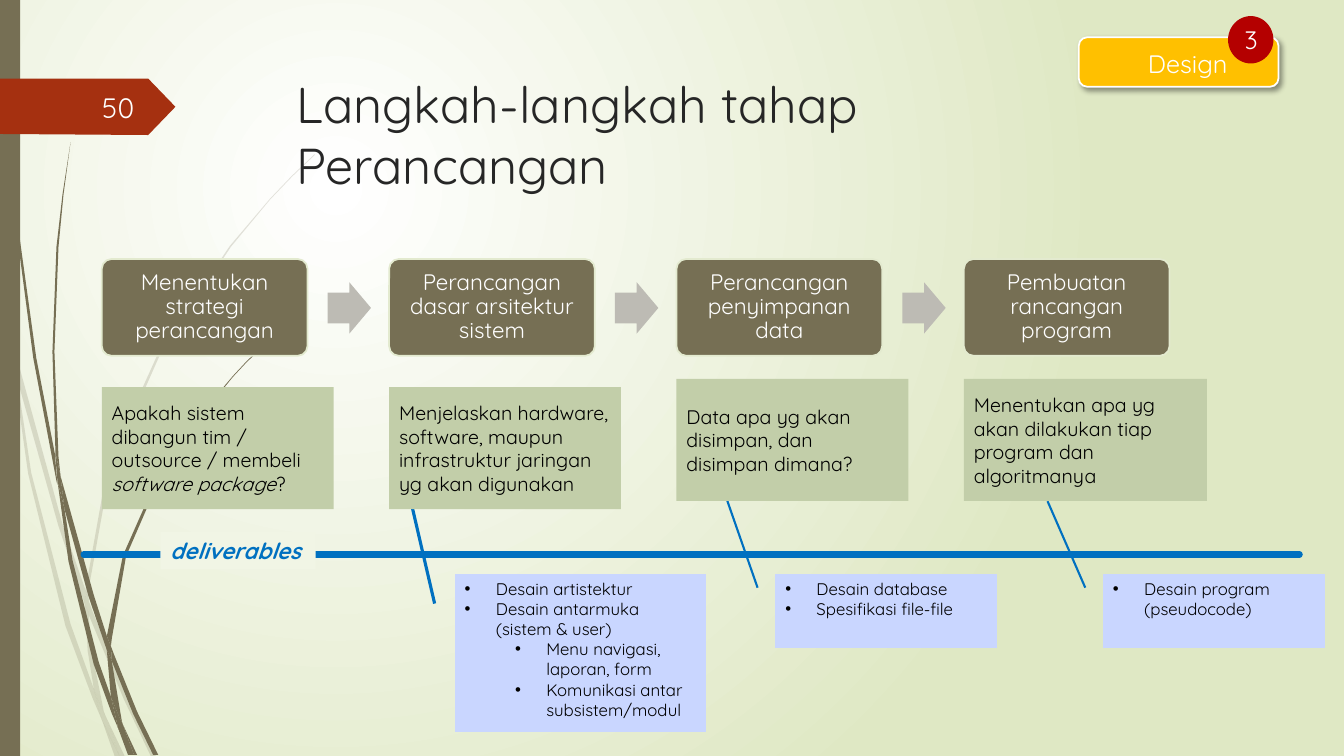
"""Build the slide on the steps of the design stage."""
import dataclasses
import typing

import lxml.etree
import pptx
import pptx.dml.color
import pptx.enum.shapes
import pptx.enum.text
import pptx.shapes.autoshape
import pptx.slide
import pptx.util

Inches = pptx.util.Inches
Kind = pptx.enum.shapes.MSO_SHAPE
Align = pptx.enum.text.PP_ALIGN
Anchor = pptx.enum.text.MSO_ANCHOR
Shape = pptx.shapes.autoshape.Shape
Slide = pptx.slide.Slide
DRAWING = "{http://schemas.openxmlformats.org/drawingml/2006/main}"


@dataclasses.dataclass(frozen=True)
class Theme:
    font: str = "Quicksand"
    brown: str = "766F54"
    red: str = "A53010"
    badge: str = "B40000"
    gold: str = "FFC000"
    blue: str = "0070C0"
    green: str = "C2CEA9"
    lilac: str = "C9D6FF"
    arrow: str = "BDBBB4"
    edge: str = "E3EACF"
    label: str = "F1F5E5"
    glow: str = "DFE8C4"
    ink: str = "262626"
    white: str = "FFFFFF"
    black: str = "000000"
    title_size: int = 36
    number_size: int = 20
    badge_size: int = 18
    step_size: int = 16
    card_size: int = 14
    bullet_size: int = 12


THEME = Theme()


class Box(typing.NamedTuple):
    left: float
    top: float
    width: float
    height: float


class Run(typing.NamedTuple):
    text: str
    italic: bool = False
    bold: bool = False


class Step(typing.NamedTuple):
    name: str
    runs: list[Run]
    card_top: float
    card_width: float = 2.3


class Deliverable(typing.NamedTuple):
    box: Box
    pointer: tuple[float, float]
    line_width: float
    items: list[tuple[int, str]]


STEPS = [
    Step("Menentukan strategi perancangan",
         [Run("Apakah sistem dibangun tim / outsource / membeli "),
          Run("software package", italic=True), Run("?")], 3.84),
    Step("Perancangan dasar arsitektur sistem",
         [Run("Menjelaskan hardware, software, maupun infrastruktur jaringan yg akan digunakan")], 3.84),
    Step("Perancangan penyimpanan data",
         [Run("Data apa yg akan disimpan, dan disimpan dimana?")], 3.76),
    Step("Pembuatan rancangan program",
         [Run("Menentukan apa yg akan dilakukan tiap program dan algoritmanya")], 3.76, 2.41),
]
DELIVERABLES = [
    Deliverable(Box(4.51, 5.69, 2.49, 1.57), (-0.56, -0.19), 2.25,
                [(0, "Desain artistektur"), (0, "Desain antarmuka (sistem & user)"),
                 (1, "Menu navigasi, laporan, form"), (1, "Komunikasi antar subsistem/modul")]),
    Deliverable(Box(7.69, 5.69, 2.2, 0.74), (-1.09, -0.23), 1.5,
                [(0, "Desain database"), (0, "Spesifikasi file-file")]),
    Deliverable(Box(10.94, 5.69, 2.2, 0.74), (-0.97, -0.25), 1.5,
                [(0, "Desain program (pseudocode)")]),
]
PALE_BLADES = [
    "11,350 9,322 0,282 0,299 10,344",
    "58,522 84,599 85,586 62,520 14,345 17,376",
    "92,607 88,596 88,610 123,694 150,751 155,751 127,692",
    "119,751 124,751 105,711",
    "93,683 70,619 31,469 17,376 11,350 28,470 65,621 92,693 101,714 99,707",
    "84,599 87,646 93,683 96,692 105,711 103,706 91,646 88,610 88,608",
    "88,584 110,462 160,349 229,245 268,198 290,175 312,154 312,153 289,175 "
    "268,197 228,244 158,348 107,461 85,584 85,586 88,596",
    "101,714 114,751 119,751",
    "88,608 88,610 88,596 85,586 84,599",
    "96,692 93,683 99,707 101,714 119,751 105,711",
]
DARK_BLADES = [
    "7,110 17,233 33,355 56,477 57,481 55,457 55,453 36,355 19,232 8,109 5,48 4,0 3,0 4,48",
    "88,592 106,645 106,633 106,631 93,590 60,472 64,505",
    "113,649 110,641 111,656 132,708 152,749 157,749 136,706",
    "110,691 98,657 72,556 64,505 57,477 68,557 93,659 111,708 117,722 116,717",
    "60,472 58,453 54,349 58,245 63,193 70,141 62,193 56,245 52,349 55,449",
    "133,749 136,749 122,719",
    "57,477 64,505 60,472 55,449 55,453",
    "111,633 125,552 158,476 205,406 231,374 245,359 261,344 260,344 245,358 "
    "231,373 204,405 156,474 122,551 106,631 110,641",
    "117,722 127,749 131,749",
    "106,645 110,691 116,706 122,719 121,716 111,656 109,651",
    "106,645 109,651 111,656 110,641 106,631 106,633",
    "116,706 110,691 116,717 117,722 130,749 133,749 122,719",
]
NUMBER_FLAG = "0,78 147,78 174,106 147,134 0,133"


def color(value: str) -> pptx.dml.color.RGBColor:
    return pptx.dml.color.RGBColor.from_string(value)


def add_xml(parent: typing.Any, tag: str, **attributes: str) -> typing.Any:
    return lxml.etree.SubElement(parent, DRAWING + tag, attributes)


def paint(shape: Shape, fill: str, line: str = "", width: float = 1.25) -> None:
    shape.shadow.inherit = False
    shape.fill.solid()
    shape.fill.fore_color.rgb = color(fill)
    if line:
        shape.line.color.rgb = color(line)
        shape.line.width = pptx.util.Pt(width)
    else:
        shape.line.fill.background()


def add_shape(slide: Slide, kind: Kind, box: Box, fill: str, line: str = "",
              width: float = 1.25, adjustments: tuple[float, ...] = ()) -> Shape:
    shape = slide.shapes.add_shape(kind, *map(Inches, box))
    paint(shape, fill, line, width)
    for index, value in enumerate(adjustments):
        shape.adjustments[index] = value
    return shape


def add_outline(slide: Slide, outline: str, fill: str, opacity: int = 100) -> None:
    points = [tuple(map(int, pair.split(","))) for pair in outline.split()]
    builder = slide.shapes.build_freeform(*points[0], scale=Inches(0.01))
    builder.add_line_segments(points[1:], close=True)
    shape = builder.convert_to_shape()
    paint(shape, fill)
    if opacity < 100:
        add_xml(shape.element.find(f".//{DRAWING}srgbClr"), "alpha", val=str(opacity * 1000))


def write(shape: Shape, paragraphs: list[list[Run]], size: int, ink: str, align: Align = Align.LEFT,
          anchor: Anchor = Anchor.MIDDLE, spacing: float = 1.0) -> None:
    frame = shape.text_frame
    frame.word_wrap = True
    frame.vertical_anchor = anchor
    for index, runs in enumerate(paragraphs):
        paragraph = frame.add_paragraph() if index else frame.paragraphs[0]
        paragraph.alignment = align
        paragraph.line_spacing = spacing
        for item in runs:
            run = paragraph.add_run()
            run.text = item.text
            run.font.name = THEME.font
            run.font.size = pptx.util.Pt(size)
            run.font.color.rgb = color(ink)
            run.font.italic = item.italic
            run.font.bold = item.bold


def add_text(slide: Slide, box: Box, text: str, size: int, ink: str, align: Align = Align.LEFT,
             anchor: Anchor = Anchor.MIDDLE) -> None:
    write(slide.shapes.add_textbox(*map(Inches, box)), [[Run(text)]], size, ink, align, anchor)


def draw_backdrop(slide: Slide) -> None:
    fill = slide.background.fill
    fill.gradient()
    for stop, value, position in zip(fill.gradient_stops, (THEME.white, THEME.glow), (0, 1)):
        stop.color.rgb = color(value)
        stop.position = position
    gradient = slide.element.find(f".//{DRAWING}gradFill")
    gradient.remove(gradient.find(f"{DRAWING}lin"))
    circle = add_xml(gradient, "path", path="circle")
    add_xml(circle, "fillToRect", l="50000", t="50000", r="100000", b="100000")
    for blades, opacity in ((PALE_BLADES, 20), (DARK_BLADES, 100)):
        for outline in blades:
            add_outline(slide, outline, THEME.brown, opacity)
    add_shape(slide, Kind.RECTANGLE, Box(0, 0, 0.2, 7.5), THEME.brown)
    add_outline(slide, NUMBER_FLAG, THEME.red)


def draw_timeline(slide: Slide) -> None:
    line = slide.shapes.add_connector(pptx.enum.shapes.MSO_CONNECTOR.STRAIGHT,
                                      *map(Inches, (0.83, 5.5, 12.89, 5.5)))
    line.line.color.rgb = color(THEME.blue)
    line.line.width = pptx.util.Pt(4.5)
    line.element.find(f".//{DRAWING}ln").set("cap", "rnd")
    add_xml(line.element.spPr, "effectLst")


def draw_badge(slide: Slide) -> None:
    plate = add_shape(slide, Kind.ROUNDED_RECTANGLE, Box(10.7, 0.37, 1.98, 0.49), THEME.gold, THEME.white)
    shadow = add_xml(plate.element.find(f".//{DRAWING}effectLst"), "outerShdw",
                     blurRad="50800", dist="38100", dir="2700000", algn="tl", rotWithShape="0")
    add_xml(add_xml(shadow, "srgbClr", val=THEME.black), "alpha", val="40000")
    add_text(slide, Box(10.84, 0.41, 1.88, 0.44), "Design", THEME.badge_size, THEME.white, Align.CENTER)
    disc = add_shape(slide, Kind.OVAL, Box(12.18, 0.16, 0.45, 0.47), THEME.badge)
    write(disc, [[Run("3")]], THEME.badge_size, THEME.white, Align.CENTER)


def draw_deliverable(slide: Slide, item: Deliverable) -> None:
    callout = add_shape(slide, Kind.LINE_CALLOUT_1_NO_BORDER, item.box, THEME.lilac, THEME.blue,
                        item.line_width, (0.19, -0.08, *item.pointer))
    write(callout, [[Run(text)] for _, text in item.items], THEME.bullet_size, THEME.black, anchor=Anchor.TOP)
    for paragraph, (level, _) in zip(callout.text_frame.paragraphs, item.items):
        paragraph.level = level
        properties = paragraph._p.get_or_add_pPr()
        properties.set("marL", str(Inches(0.31 + 0.5 * level)))
        properties.set("indent", str(Inches(-0.31)))
        add_xml(properties, "buFont", typeface="Arial")
        add_xml(properties, "buChar", char="•")


def draw_step(slide: Slide, index: int, step: Step) -> None:
    offset = 2.85 * index
    block = add_shape(slide, Kind.ROUNDED_RECTANGLE, Box(1.01 + offset, 2.57, 2.04, 0.96),
                      THEME.brown, THEME.edge, adjustments=(0.1,))
    write(block, [[Run(step.name)]], THEME.step_size, THEME.white, Align.CENTER, spacing=0.9)
    if index < len(STEPS) - 1:
        add_shape(slide, Kind.RIGHT_ARROW, Box(3.25 + offset, 2.8, 0.43, 0.51), THEME.arrow,
                  adjustments=(0.6, 0.5))
    card = add_shape(slide, Kind.RECTANGLE, Box(1.01 + offset, step.card_top, step.card_width, 1.21), THEME.green)
    write(card, [step.runs], THEME.card_size, THEME.black)


def main() -> None:
    presentation = pptx.Presentation()
    presentation.slide_width, presentation.slide_height = Inches(13.33), Inches(7.5)
    slide = presentation.slides.add_slide(presentation.slide_layouts[6])
    draw_backdrop(slide)
    draw_timeline(slide)
    add_text(slide, Box(2.84, 0.68, 6.33, 1.4), "Langkah-langkah tahap Perancangan",
             THEME.title_size, THEME.ink, anchor=Anchor.TOP)
    add_text(slide, Box(0.58, 0.86, 0.85, 0.4), "50", THEME.number_size, THEME.white, Align.RIGHT)
    draw_badge(slide)
    for item in DELIVERABLES:
        draw_deliverable(slide, item)
    for index, step in enumerate(STEPS):
        draw_step(slide, index, step)
    label = add_shape(slide, Kind.RECTANGLE, Box(1.59, 5.28, 1.54, 0.37), THEME.label)
    write(label, [[Run("deliverables", italic=True, bold=True)]], THEME.step_size, THEME.blue, anchor=Anchor.TOP)
    label.text_frame.word_wrap = False
    presentation.save("out.pptx")


if __name__ == "__main__":
    main()
